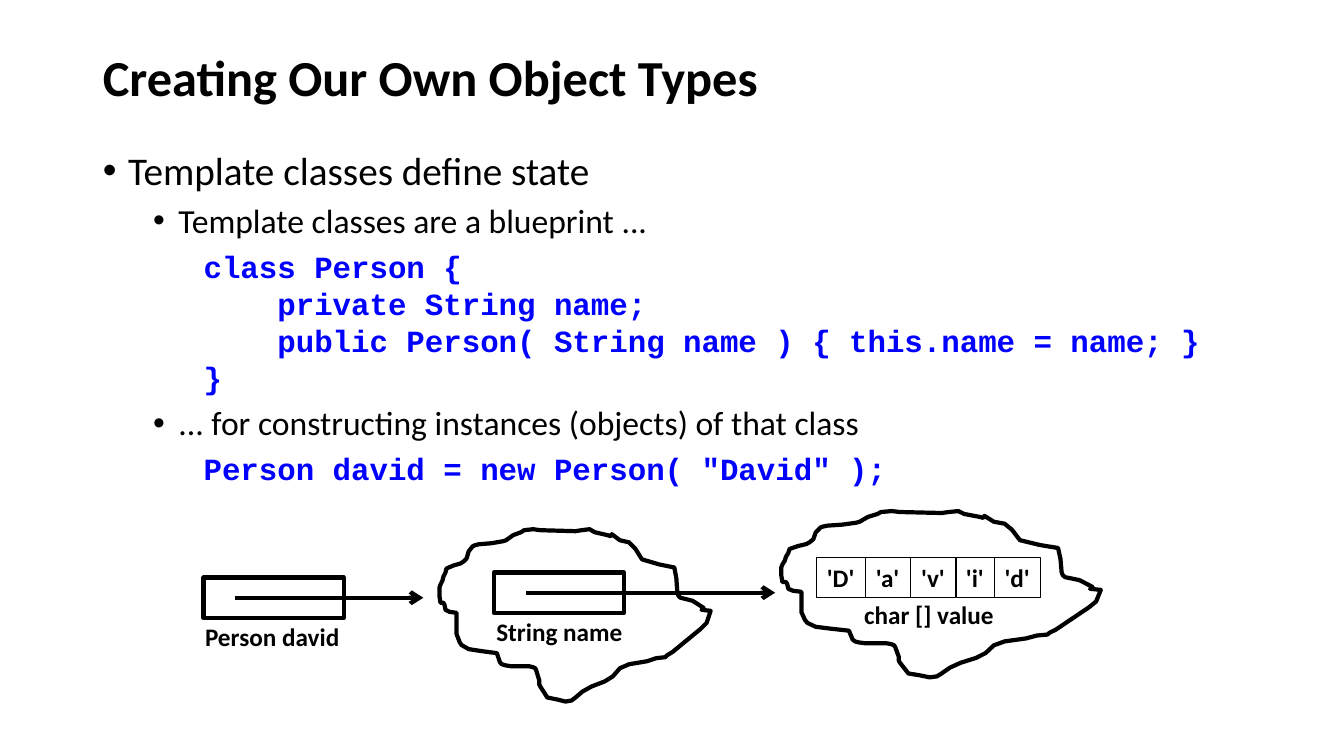
"""Build the slide on creating our own object types."""
from itertools import accumulate
from typing import NamedTuple

from lxml.etree import SubElement
from pptx import Presentation
from pptx.dml.color import RGBColor
from pptx.enum.shapes import MSO_CONNECTOR as CONN, MSO_SHAPE as SHAPE
from pptx.enum.text import MSO_ANCHOR as ANCHOR, MSO_AUTO_SIZE as AUTO, PP_ALIGN as ALIGN
from pptx.oxml.ns import qn
from pptx.util import Inches, Pt

COLORS = {"ink": "000000", "code": "0000FF"}
SANS, MONO = "Calibri", "Courier New"
W, H = Inches(13.333), Inches(7.5)


class Area(NamedTuple):
    """Left, top, width and height in percent of the slide."""
    x: float
    y: float
    w: float
    h: float = 5.33


class Style(NamedTuple):
    """Look of one kind of body paragraph."""
    level: int
    left: float
    hanging: float
    before: float
    size: float
    font: str = SANS
    color: str = "ink"
    bold: bool = False
    bullet: bool = True
    leading: float = 0


class Arrow(NamedTuple):
    """Horizontal reference arrow in percent of the slide."""
    x1: float
    x2: float
    y: float


TOPIC = Style(0, 0.25, -0.25, 10, 28)
POINT = Style(1, 0.75, -0.25, 5, 24)
CODE = Style(2, 1, 0, 5, 22, MONO, "code", True, False, 26.4)

BODY = [
    (TOPIC, "Template classes define state "),
    (POINT, "Template classes are a blueprint ..."),
    (CODE, "class Person {\v    private String name;\v"
           "    public Person( String name ) { this.name = name; }\v}"),
    (POINT, "... for constructing instances (objects) of that class"),
    (CODE, 'Person david = new Person( "David" );'),
]
CLOUDS = [Area(32.7, 70, 20.18, 22.8), Area(58.13, 67.6, 23.78, 22)]
VARIABLES = [Area(15.15, 76.4, 10.43), Area(36.75, 75.73, 9.68)]
ARROWS = [Arrow(17.48, 31.5, 79.07), Arrow(39.15, 57.68, 78.4)]
LABELS = [
    ("Person david", Area(14.48, 81.47, 11.55)),
    ("String name", Area(36.15, 80.93, 10.95)),
    ("char [] value", Area(63.38, 78.67, 11.48)),
]
LETTERS, LETTER_WIDTHS = "David", [3.6, 3.38, 3.38, 2.85, 3.45]
LETTERS_X, LETTERS_Y = 60.75, 73.73
CLOUD_W, CLOUD_H = 269, 171
OUTLINE = [
    (135, 2), (100, 1), (93, 0), (84, 1), (81, 3), (73, 6), (66, 11), (63, 12),
    (51, 14), (39, 15), (35, 16), (33, 17), (29, 22), (27, 29), (24, 32), (21, 34),
    (14, 36), (7, 39), (6, 43), (4, 47), (3, 51), (1, 55), (0, 58), (0, 66), (1, 73),
    (4, 73), (5, 75), (6, 80), (10, 82), (17, 83), (17, 104), (20, 112), (22, 115),
    (29, 119), (42, 121), (57, 123), (60, 132), (62, 134), (65, 135), (71, 136),
    (89, 136), (93, 137), (95, 138), (96, 140), (99, 150), (99, 154), (100, 156),
    (107, 167), (117, 169), (125, 171), (131, 170), (135, 167), (142, 161),
    (151, 156), (164, 151), (172, 146), (179, 138), (188, 134), (206, 131),
    (215, 128), (224, 127), (226, 125), (231, 122), (259, 99), (265, 93), (269, 81),
    (260, 80), (262, 78), (251, 71), (239, 68), (237, 66), (236, 63), (235, 49),
    (233, 38), (228, 37), (218, 35), (201, 30), (199, 27), (196, 22), (194, 19),
    (188, 13), (179, 11), (171, 5), (170, 7), (167, 6), (154, 3), (149, 0), (141, 1),
]


def across(share: float) -> int:
    """Turn a percentage of the slide's width into a length."""
    return round(W * share / 100)


def down(share: float) -> int:
    """Turn a percentage of the slide's height into a length."""
    return round(H * share / 100)


def place(area: Area) -> tuple[int, int, int, int]:
    """Turn an area into left, top, width and height."""
    return across(area.x), down(area.y), across(area.w), down(area.h)


def rgb(name: str) -> RGBColor:
    """Look up a colour by name."""
    return RGBColor.from_string(COLORS[name])


def style_runs(p, size: float, font: str = SANS, color: str = "ink", bold: bool = True) -> None:
    """Format every run of a paragraph."""
    for r in p.runs:
        r.font.size, r.font.name, r.font.bold = Pt(size), font, bold
        r.font.color.rgb = rgb(color)


def move(s, area: Area) -> None:
    """Move a placeholder to an area."""
    s.left, s.top, s.width, s.height = place(area)
    s.text_frame.auto_size = AUTO.NONE


def style_body(p, style: Style) -> None:
    """Format a body paragraph with its indent and bullet."""
    p.level, p.space_before = style.level, Pt(style.before)
    if style.leading:
        p.line_spacing = Pt(style.leading)
    ppr = p._p.get_or_add_pPr()
    ppr.set("marL", str(Inches(style.left)))
    ppr.set("indent", str(Inches(style.hanging)))
    if style.bullet:
        SubElement(ppr, qn("a:buFont")).set("typeface", "Arial")
        SubElement(ppr, qn("a:buChar")).set("char", "•")
    else:
        SubElement(ppr, qn("a:buNone"))
    style_runs(p, style.size, style.font, style.color, style.bold)


def outline(s, width: float) -> None:
    """Give a shape a dark line and no fill or shadow."""
    s.shadow.inherit = False
    s.fill.background()
    s.line.color.rgb, s.line.width = rgb("ink"), Pt(width)


def add_box(shapes, area: Area, width: float = 3):
    """Add an outlined rectangle."""
    s = shapes.add_shape(SHAPE.RECTANGLE, *place(area))
    outline(s, width)
    return s


def add_cloud(shapes, area: Area) -> None:
    """Add the cloud outline that stands for an object."""
    x, y, w, h = place(area)
    pen = shapes.build_freeform(*OUTLINE[0], scale=(w / CLOUD_W, h / CLOUD_H))
    pen.add_line_segments(OUTLINE[1:], close=True)
    outline(pen.convert_to_shape(x, y), 3)


def add_arrow(shapes, arrow: Arrow) -> None:
    """Add a reference arrow."""
    y = down(arrow.y)
    s = shapes.add_connector(CONN.STRAIGHT, across(arrow.x1), y, across(arrow.x2), y)
    s.line.color.rgb, s.line.width = rgb("ink"), Pt(3)
    SubElement(s.line._get_or_add_ln(), qn("a:tailEnd")).set("type", "arrow")
    SubElement(s._element.spPr, qn("a:effectLst"))


def write(s, text: str) -> None:
    """Write one centred bold line in a shape."""
    tf = s.text_frame
    tf.text, tf.word_wrap, tf.vertical_anchor = text, False, ANCHOR.TOP
    tf.auto_size = AUTO.SHAPE_TO_FIT_TEXT
    tf.paragraphs[0].alignment = ALIGN.CENTER
    style_runs(tf.paragraphs[0], 18)


prs = Presentation()
prs.slide_width, prs.slide_height = W, H
slide = prs.slides.add_slide(prs.slide_layouts[1])
title, body = slide.placeholders

move(title, Area(6.9, 5.33, 86.25, 10.53))
title.text_frame.text = "Creating Our Own Object Types"
title.text_frame.vertical_anchor = ANCHOR.MIDDLE
p = title.text_frame.paragraphs[0]
p.alignment, p.line_spacing = ALIGN.LEFT, 0.9
style_runs(p, 36)

move(body, Area(6.9, 18.67, 93.1, 81.33))
body.text_frame.text = "\n".join(text for _, text in BODY)
for p, (style, _) in zip(body.text_frame.paragraphs, BODY):
    style_body(p, style)

shapes = slide.shapes.add_group_shape().shapes
for cloud in CLOUDS:
    add_cloud(shapes, cloud)
for variable in VARIABLES:
    add_box(shapes, variable)
for arrow in ARROWS:
    add_arrow(shapes, arrow)
for text, area in LABELS:
    write(shapes.add_textbox(*place(area)), text)
for letter, w, x in zip(LETTERS, LETTER_WIDTHS, accumulate(LETTER_WIDTHS, initial=LETTERS_X)):
    write(add_box(shapes, Area(x, LETTERS_Y, w), 0.25), f"'{letter}'")

prs.save("out.pptx")
